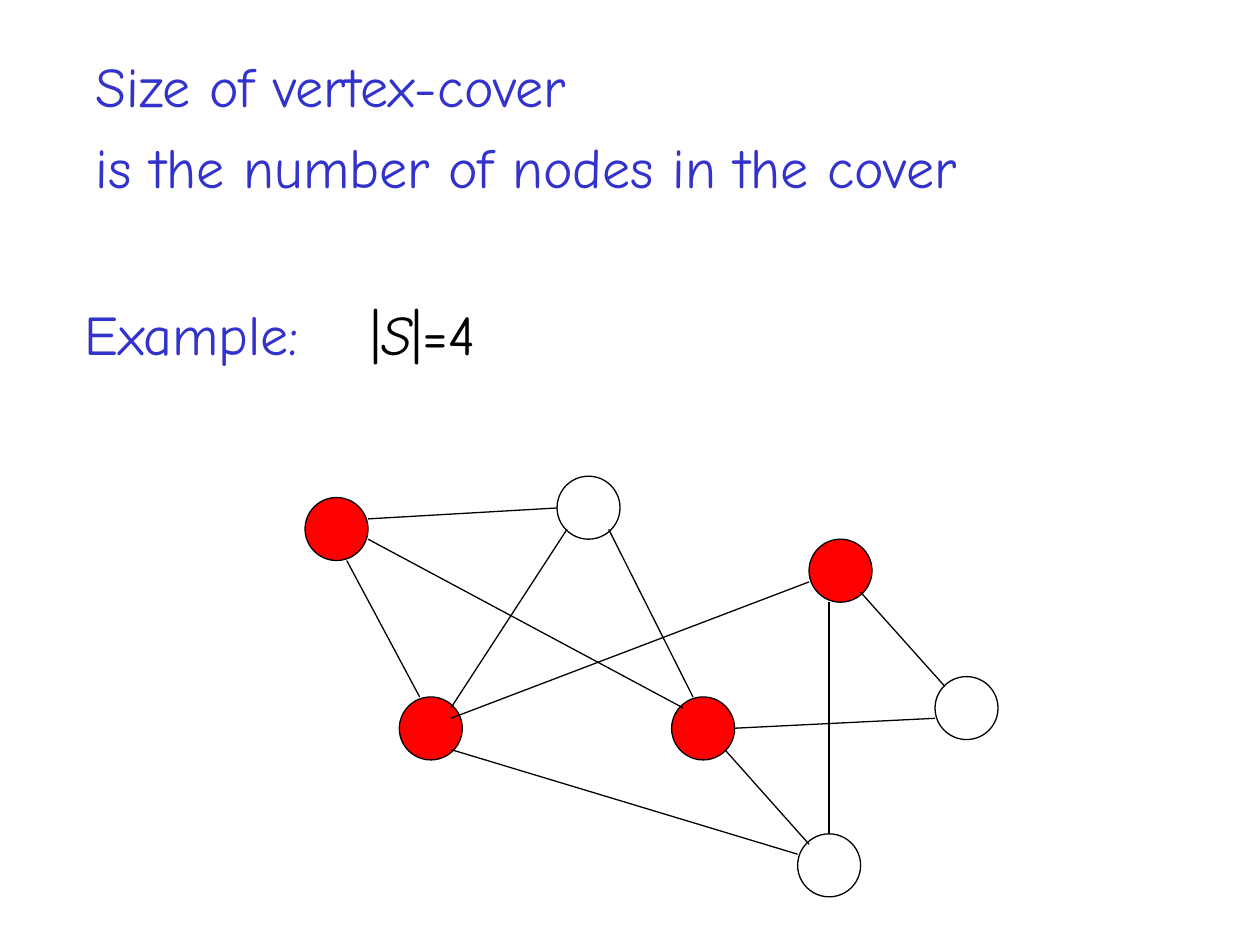
from lxml import etree
from pptx import Presentation
from pptx.dml.color import RGBColor
from pptx.enum.shapes import MSO_CONNECTOR, MSO_SHAPE
from pptx.enum.text import MSO_ANCHOR, MSO_AUTO_SIZE, PP_ALIGN
from pptx.oxml.ns import qn
from pptx.util import Cm, Pt

OVAL = MSO_SHAPE.OVAL
STRAIGHT = MSO_CONNECTOR.STRAIGHT
TOP = MSO_ANCHOR.TOP
FIT_SHAPE = MSO_AUTO_SIZE.SHAPE_TO_FIT_TEXT
LEFT = PP_ALIGN.LEFT

COLORS = {"heading": "3333CC", "black": "000000", "cover": "FF0000"}
FONT = "Comic Neue"
NODE_SIZE = 1.27
LINE_WIDTH = 0.75
TITLE_ONLY = 5


def color(name):
    return RGBColor.from_string(COLORS[name])


def write(box, paragraphs, ink="heading", size=32, space_before=8):
    """Fill a box with paragraphs, each a list of (text, italic) spans."""
    frame = box.text_frame
    frame.word_wrap = False
    frame.auto_size = FIT_SHAPE
    frame.vertical_anchor = TOP
    for index, spans in enumerate(paragraphs):
        para = frame.add_paragraph() if index else frame.paragraphs[0]
        para.alignment = LEFT
        para.space_before = Pt(space_before if index else 0)
        for text, italic in spans:
            span = para.add_run()
            span.text = text
            span.font.name = FONT
            span.font.size = Pt(size)
            span.font.italic = italic
            span.font.color.rgb = color(ink)


deck = Presentation()
deck.slide_width, deck.slide_height = Cm(25.4), Cm(19.05)
page = deck.slides.add_slide(deck.slide_layouts[TITLE_ONLY])

# Statement and example
title = page.shapes.title
title.left, title.top, title.width, title.height = Cm(1.68), Cm(0.91), Cm(17.91), Cm(3.25)
write(title, [[("Size of vertex-cover", False)],
              [("is the number of nodes in the cover", False)]])

example = page.shapes.add_textbox(Cm(1.45), Cm(5.92), Cm(4.85), Cm(1.63))
write(example, [[("Example:", False)]])

cover_size = page.shapes.add_textbox(Cm(7.21), Cm(5.92), Cm(2.64), Cm(1.63))
write(cover_size, [[("|", False), ("S", True), ("|=4", False)]], ink="black")

# Graph nodes: left, top, whether the node is in the cover
nodes = [
    (6.15, 10.03, True),
    (11.23, 9.6, False),
    (8.05, 14.05, True),
    (16.31, 10.87, True),
    (13.54, 14.05, True),
    (18.85, 13.64, False),
    (16.08, 16.81, False),
]
for left, top, in_cover in nodes:
    node = page.shapes.add_shape(OVAL, Cm(left), Cm(top), Cm(NODE_SIZE), Cm(NODE_SIZE))
    node.shadow.inherit = False
    if in_cover:
        node.fill.solid()
        node.fill.fore_color.rgb = color("cover")
    else:
        node.fill.background()
    node.line.color.rgb = color("black")
    node.line.width = Pt(LINE_WIDTH)

# Graph edges: start x, start y, end x, end y
edges = [
    (6.99, 11.3, 8.46, 14.05),
    (9.09, 14.27, 11.43, 10.67),
    (12.27, 10.67, 13.97, 14.05),
    (9.09, 14.48, 16.31, 11.73),
    (17.35, 11.94, 19.05, 13.84),
    (7.42, 10.87, 13.77, 14.27),
    (16.71, 12.14, 16.71, 16.81),
    (9.09, 15.11, 16.08, 17.22),
    (14.81, 14.68, 18.85, 14.48),
    (14.61, 15.11, 16.31, 17.02),
    (7.42, 10.46, 11.23, 10.24),
]
for ends in edges:
    edge = page.shapes.add_connector(STRAIGHT, *map(Cm, ends))
    edge.line.color.rgb = color("black")
    edge.line.width = Pt(LINE_WIDTH)
    etree.SubElement(edge._element.spPr, qn("a:effectLst"))

deck.save("out.pptx")
